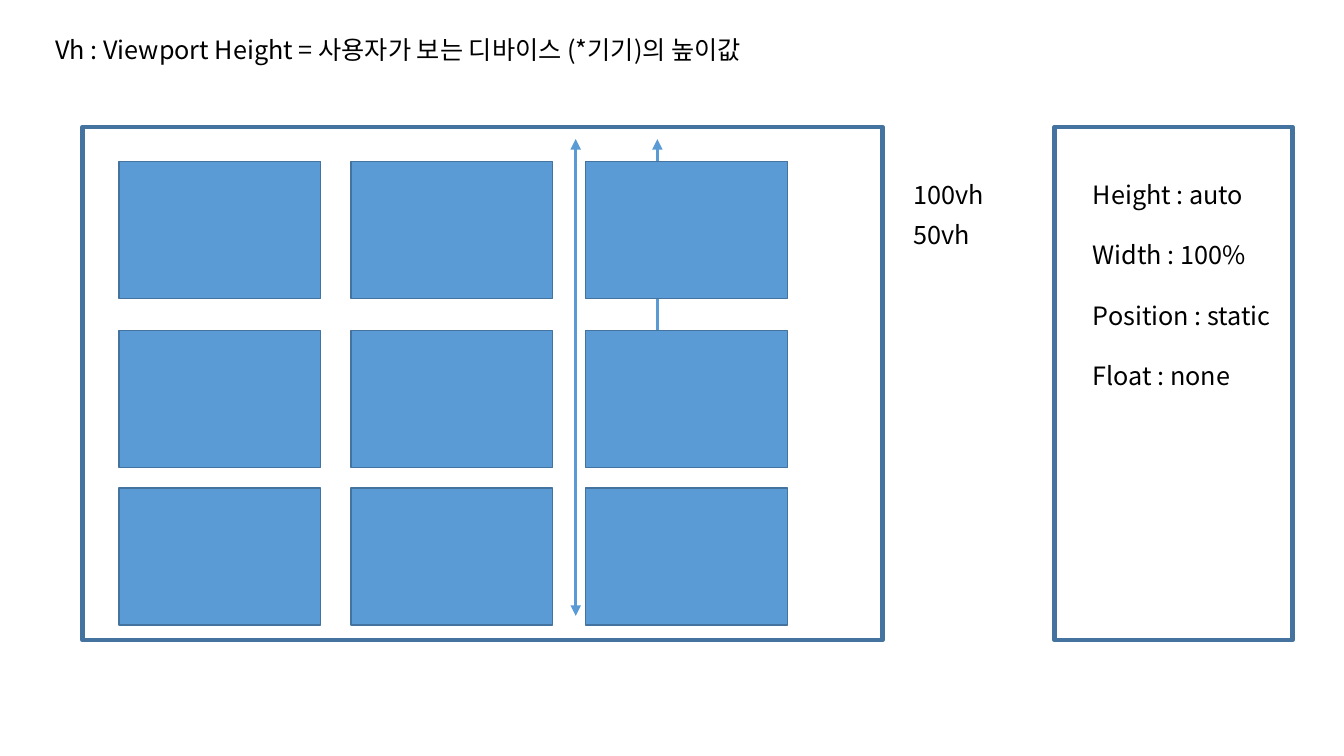
"""Build a slide that explains viewport height units."""
from dataclasses import dataclass

from lxml import etree
from pptx import Presentation
from pptx.dml.color import RGBColor
from pptx.enum.shapes import MSO_CONNECTOR, MSO_SHAPE
from pptx.enum.text import MSO_AUTO_SIZE
from pptx.oxml.ns import qn
from pptx.util import Inches, Pt

RECTANGLE = MSO_SHAPE.RECTANGLE
STRAIGHT = MSO_CONNECTOR.STRAIGHT
GROW = MSO_AUTO_SIZE.SHAPE_TO_FIT_TEXT


@dataclass(frozen=True)
class Theme:
    """Colours, font and sizes of the slide."""

    text: RGBColor = RGBColor.from_string("000000")
    fill: RGBColor = RGBColor.from_string("5B9BD5")
    outline: RGBColor = RGBColor.from_string("43739E")
    font: str = "Noto Sans CJK KR"
    text_size: float = 18
    frame_width: float = 3.5
    arrow_width: float = 2.5
    block_width: float = 1


THEME = Theme()

FRAME_TOP, FRAME_HEIGHT = 1.26, 5.09
BLOCK_COLUMNS = (1.18, 3.48, 5.81)
BLOCK_ROWS = (1.6, 3.28, 4.84)
BLOCK_WIDTH, BLOCK_HEIGHT = 2, 1.36
ARROW_TOP = 1.38
LABEL_TOP, LABEL_WIDTH, LABEL_HEIGHT = 1.73, 2.08, 0.4
UNITS = ("100vh", "50vh")
DEFAULTS = ("Height : auto", "Width : 100%", "Position : static", "Float : none")


def add_text(page, text, left, top, width=LABEL_WIDTH, size=THEME.text_size, color=THEME.text):
    """Add a wrapping one-line text box that grows with its text."""
    box = page.shapes.add_textbox(Inches(left), Inches(top), Inches(width), Inches(LABEL_HEIGHT))
    box.text_frame.word_wrap = True
    box.text_frame.auto_size = GROW
    span = box.text_frame.paragraphs[0].add_run()
    span.text = text
    span.font.name = THEME.font
    span.font.size = Pt(size)
    span.font.color.rgb = color
    etree.SubElement(span.font._element, qn("a:ea"), typeface=THEME.font)


def add_labels(page, labels, left, step):
    """Stack labels downwards at an equal step."""
    for index, label in enumerate(labels):
        add_text(page, label, left, LABEL_TOP + index * step)


def add_rectangle(page, left, top, width, height, line_width, fill=None):
    """Add an outlined rectangle, hollow unless a fill is given."""
    shape = page.shapes.add_shape(
        RECTANGLE, Inches(left), Inches(top), Inches(width), Inches(height)
    )
    shape.shadow.inherit = False
    shape.line.color.rgb = THEME.outline
    shape.line.width = Pt(line_width)
    if fill is None:
        shape.fill.background()
    else:
        shape.fill.solid()
        shape.fill.fore_color.rgb = fill


def add_frame(page, left, width):
    """Add a hollow frame of the common height."""
    add_rectangle(page, left, FRAME_TOP, width, FRAME_HEIGHT, THEME.frame_width)


def add_height_arrow(page, x, bottom):
    """Add a vertical arrow with a head at both ends."""
    arrow = page.shapes.add_connector(
        STRAIGHT, Inches(x), Inches(ARROW_TOP), Inches(x), Inches(bottom)
    )
    arrow.line.color.rgb = THEME.fill
    arrow.line.width = Pt(THEME.arrow_width)
    properties = arrow._element.spPr
    outline = properties.find(qn("a:ln"))
    for end in ("a:headEnd", "a:tailEnd"):
        etree.SubElement(outline, qn(end), type="triangle")
    etree.SubElement(properties, qn("a:effectLst"))


def add_blocks(page):
    """Fill the viewport with a grid of blocks."""
    for top in BLOCK_ROWS:
        for left in BLOCK_COLUMNS:
            add_rectangle(
                page, left, top, BLOCK_WIDTH, BLOCK_HEIGHT, THEME.block_width, THEME.fill
            )


def main():
    """Build and save the deck."""
    deck = Presentation()
    deck.slide_width, deck.slide_height = Inches(13.33), Inches(7.5)
    page = deck.slides.add_slide(deck.slide_layouts[6])
    add_text(page, "Vh : Viewport Height = 사용자가 보는 디바이스 (*기기)의 높이값", 0.45, 0.29, 8.69)
    add_frame(page, 0.82, 7.93)
    add_labels(page, UNITS, 8.96, 0.4)
    add_height_arrow(page, 5.71, 6.11)
    add_height_arrow(page, 6.52, 3.64)
    add_blocks(page)
    add_frame(page, 10.46, 2.36)
    add_labels(page, DEFAULTS, 10.74, 0.6)
    deck.save("out.pptx")


if __name__ == "__main__":
    main()
